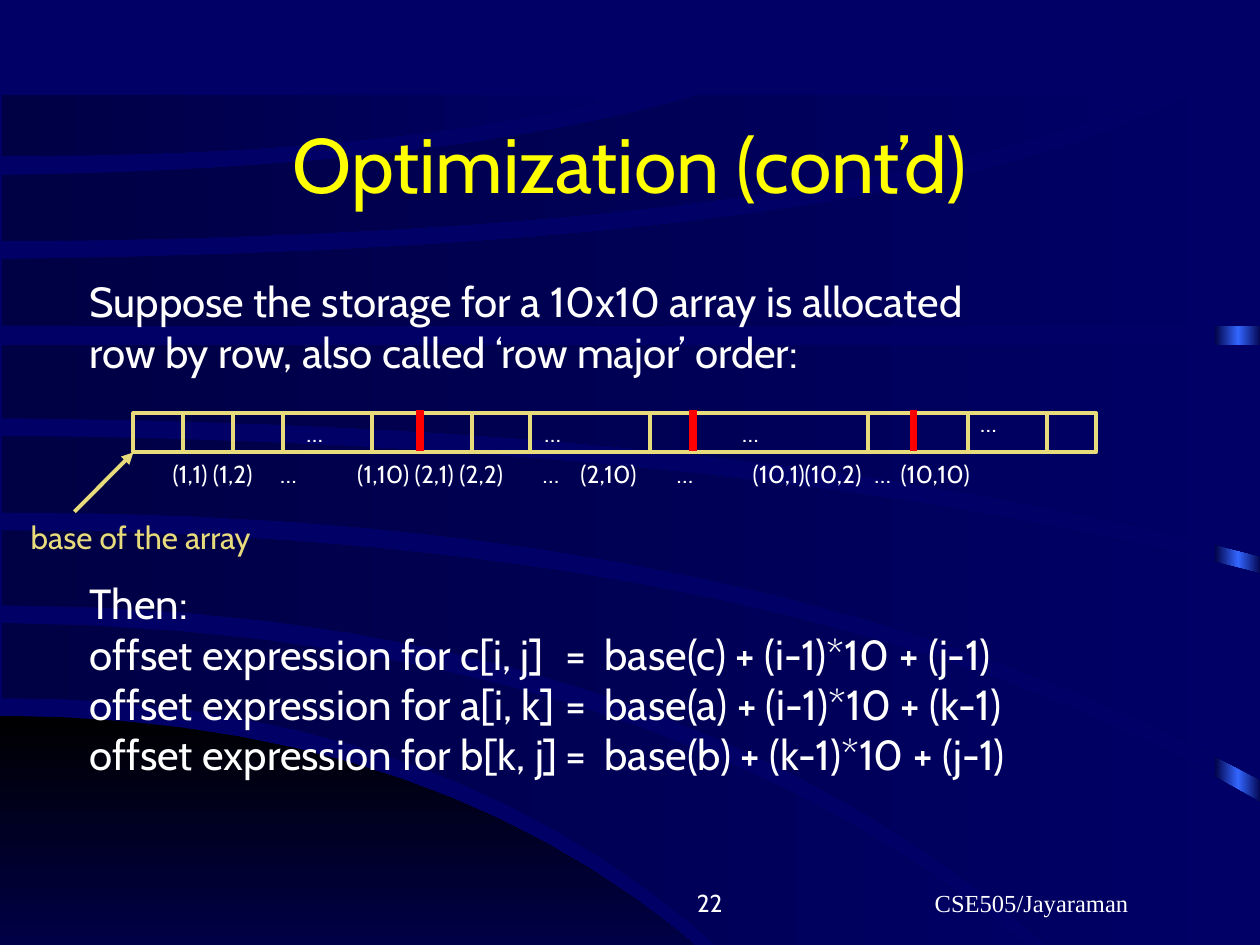
from copy import deepcopy
from dataclasses import dataclass
from typing import NamedTuple

import pptx
import pptx.dml.color
import pptx.enum.shapes
import pptx.enum.text
import pptx.oxml
import pptx.oxml.ns
import pptx.util
from pptx.util import Pt

NAVY, DEEP, BLACK, GLOW = "000066", "000044", "000000", "3366FF"
SAND, RED, WHITE, YELLOW = "E8DB7C", "FF0000", "FFFFFF", "FFFF00"
ALIGN = pptx.enum.text.PP_ALIGN
ANCHOR = pptx.enum.text.MSO_ANCHOR
RECTANGLE = pptx.enum.shapes.MSO_SHAPE.RECTANGLE
NAMESPACE = pptx.oxml.ns.nsdecls("a")
CURVE_STEPS = 16
ROW_LEFT, ROW_TOP, ROW_WIDTH, ROW_HEIGHT = 76.25, 236, 550, 22.5
ROW_BOTTOM = ROW_TOP + ROW_HEIGHT


class Point(NamedTuple):
    x: float
    y: float


class Curve(NamedTuple):
    start: Point
    middle: Point
    end: Point


@dataclass
class Band:
    edge: Curve
    corners: tuple[Point, ...] = ()
    opposite: Curve | None = None
    color: str = DEEP
    angle: float = 0


@dataclass
class Stroke:
    start: Point
    end: Point
    color: str = SAND
    width: float = 2.25
    arrow: bool = False


def curve(*points: tuple[float, float]) -> Curve:
    return Curve(*(Point(*point) for point in points))


BANDS = [
    Band(curve((0, 409), (258, 456), (453, 595)), (Point(0, 595),), color=BLACK, angle=270),
    Band(curve((1, 356), (372, 418), (644, 594)),
         opposite=curve((1, 399), (262, 447), (463, 594))),
    Band(curve((1, 303), (411, 343), (721, 459)), (Point(721, 594),),
         curve((1, 346), (376, 408), (655, 594))),
    Band(curve((1, 249), (400, 271), (721, 328)),
         opposite=curve((1, 293), (400, 330), (721, 446))),
    Band(curve((1, 239), (400, 260), (721, 318)), (Point(721, 197), Point(1, 197))),
    Band(curve((1, 148), (431, 122), (680, 54)),
         (Point(721, 54), Point(721, 186), Point(1, 186))),
    Band(curve((1, 100), (228, 87), (401, 54)),
         opposite=curve((1, 138), (404, 115), (661, 54))),
    Band(curve((1, 89), (200, 80.5), (361, 54)), (Point(1, 54),)),
]
CELL_EDGES = [104.5, 133, 161.5, 212.5, 241, 269.5, 303, 371.5, 396, 496, 522, 553, 598.5]
ROW_ENDS = [240, 396, 522]
ELLIPSES = [Point(168, 235.5), Point(304, 235.5), Point(417, 235.5), Point(553, 229.5)]


def rgb(color: str) -> pptx.dml.color.RGBColor:
    return pptx.dml.color.RGBColor.from_string(color)


def trace(path: Curve) -> list[Point]:
    def blend(start: float, middle: float, end: float, t: float) -> float:
        bend = 2 * middle - (start + end) / 2
        return (1 - t) ** 2 * start + 2 * t * (1 - t) * bend + t ** 2 * end

    return [Point(*(blend(*axis, step / CURVE_STEPS) for axis in zip(*path)))
            for step in range(CURVE_STEPS + 1)]


def fill_gradient(shape, colors: list[str], angle: float = 0) -> None:
    shape.shadow.inherit = False
    shape.line.fill.background()
    shape.fill.gradient()
    shape.fill.gradient_angle = angle
    stop_list = shape._element.spPr.find(".//" + pptx.oxml.ns.qn("a:gsLst"))
    for _ in colors[2:]:
        stop_list.append(deepcopy(stop_list[-1]))
    for index, (stop, color) in enumerate(zip(shape.fill.gradient_stops, colors)):
        stop.color.rgb = rgb(color)
        stop.position = index / (len(colors) - 1)


def draw_band(slide, band: Band) -> None:
    outline = trace(band.edge) + list(band.corners)
    if band.opposite:
        outline += reversed(trace(band.opposite))
    first, *others = [(Pt(x), Pt(y)) for x, y in outline]
    builder = slide.shapes.build_freeform(*first)
    builder.add_line_segments(others, close=True)
    fill_gradient(builder.convert_to_shape(), [band.color, NAVY], band.angle)


def draw_stroke(slide, stroke: Stroke) -> None:
    connector = slide.shapes.add_connector(
        pptx.enum.shapes.MSO_CONNECTOR.STRAIGHT,
        *(Pt(value) for value in (*stroke.start, *stroke.end)))
    connector.line.color.rgb = rgb(stroke.color)
    connector.line.width = Pt(stroke.width)
    properties = connector._element.spPr
    if stroke.arrow:
        properties.find(pptx.oxml.ns.qn("a:ln")).append(
            pptx.oxml.parse_xml(f'<a:tailEnd {NAMESPACE} type="triangle"/>'))
    properties.append(pptx.oxml.parse_xml(f"<a:effectLst {NAMESPACE}/>"))


def write(frame, text: str, *, size: float, color: str = WHITE, font: str = "Cabin",
          align=ALIGN.LEFT, anchor=ANCHOR.TOP, tabs: tuple[float, ...] = ()) -> None:
    frame.word_wrap = True
    frame.auto_size = pptx.enum.text.MSO_AUTO_SIZE.NONE
    frame.vertical_anchor = anchor
    frame.text = text
    for paragraph in frame.paragraphs:
        paragraph.alignment = align
        if tabs:
            stops = "".join(f'<a:tab pos="{Pt(tab)}" algn="l"/>' for tab in tabs)
            paragraph._p.get_or_add_pPr().append(
                pptx.oxml.parse_xml(f"<a:tabLst {NAMESPACE}>{stops}</a:tabLst>"))
        paragraph.font.size = Pt(size)
        for run in paragraph.runs:
            run.font.size = Pt(size)
            run.font.name = font
            run.font.color.rgb = rgb(color)


def add_text(slide, text: str, left: float, top: float, width: float, height: float, **style):
    frame = slide.shapes.add_textbox(Pt(left), Pt(top), Pt(width), Pt(height)).text_frame
    write(frame, text, **style)
    return frame


def main() -> None:
    deck = pptx.Presentation()
    deck.slide_width, deck.slide_height = Pt(720), Pt(540)
    slide = deck.slides.add_slide(deck.slide_layouts[5])
    slide.background.fill.solid()
    slide.background.fill.fore_color.rgb = rgb(NAVY)

    edge_glow = slide.shapes.add_shape(RECTANGLE, Pt(694), Pt(55), Pt(27), Pt(540))
    fill_gradient(edge_glow, [DEEP, GLOW, DEEP])
    for band in BANDS:
        draw_band(slide, band)

    add_text(slide, "CSE505/Jayaraman", 475.5, 492, 228, 36, size=14,
             font="Times New Roman", align=ALIGN.CENTER, anchor=ANCHOR.BOTTOM)
    add_text(slide, "22", 270, 492, 150, 36, size=14, align=ALIGN.RIGHT, anchor=ANCHOR.BOTTOM)

    title = slide.shapes.title
    title.left, title.top, title.width, title.height = Pt(54), Pt(48), Pt(612), Pt(90)
    write(title.text_frame, "Optimization (cont’d)", size=44, color=YELLOW,
          align=ALIGN.CENTER, anchor=ANCHOR.MIDDLE)
    slide.shapes._spTree.append(title._element)

    explanation = add_text(slide, "\n".join([
        "Suppose the storage for a 10x10 array is allocated",
        "row by row, also called ‘row major’ order:",
        "Then:",
        *(f"offset expression for {name}[{row}, {column}]\t=\t"
          f"base({name}) + ({row}-1)*10 + ({column}-1)" for name, row, column in ("cij", "aik", "bkj")),
    ]), 44, 154, 618, 324, size=24, tabs=(272, 294.5))
    explanation.paragraphs[2].space_before = Pt(115)

    storage = slide.shapes.add_shape(
        RECTANGLE, Pt(ROW_LEFT), Pt(ROW_TOP), Pt(ROW_WIDTH), Pt(ROW_HEIGHT))
    storage.shadow.inherit = False
    storage.fill.background()
    storage.line.color.rgb = rgb(SAND)
    storage.line.width = Pt(2.25)

    for x in CELL_EDGES:
        draw_stroke(slide, Stroke(Point(x, ROW_TOP), Point(x, ROW_BOTTOM)))
    for left, top in ELLIPSES:
        add_text(slide, "…", left, top, 25, 24.5, size=14)
    add_text(slide, "(1,1) (1,2)\t…\t(1,10) (2,1) (2,2)\t…\t(2,10)\t…\t(10,1)(10,2)\t…\t(10,10)",
             91.5, ROW_BOTTOM, 569, 24.5, size=14,
             tabs=(61.5, 105.5, 211.5, 233, 288, 331.5, 401, 416))
    draw_stroke(slide, Stroke(Point(42.5, 292.5), Point(ROW_LEFT, ROW_BOTTOM), arrow=True))
    add_text(slide, "base of the array", 10.5, 292.5, 158, 29, size=18, color=SAND)
    for x in ROW_ENDS:
        draw_stroke(slide, Stroke(Point(x, 234), Point(x, 258), RED, 4.5))

    deck.save("out.pptx")


if __name__ == "__main__":
    main()
